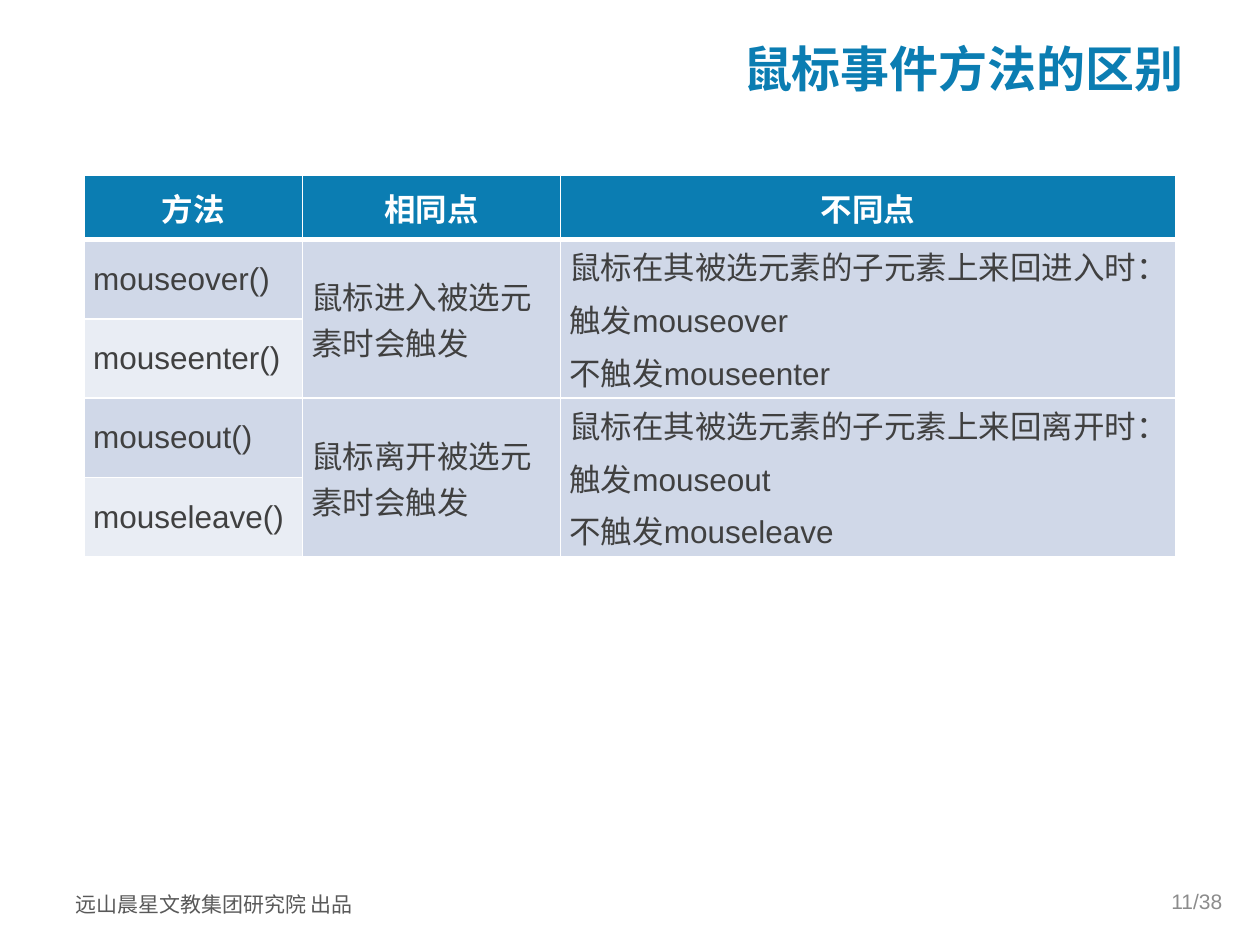
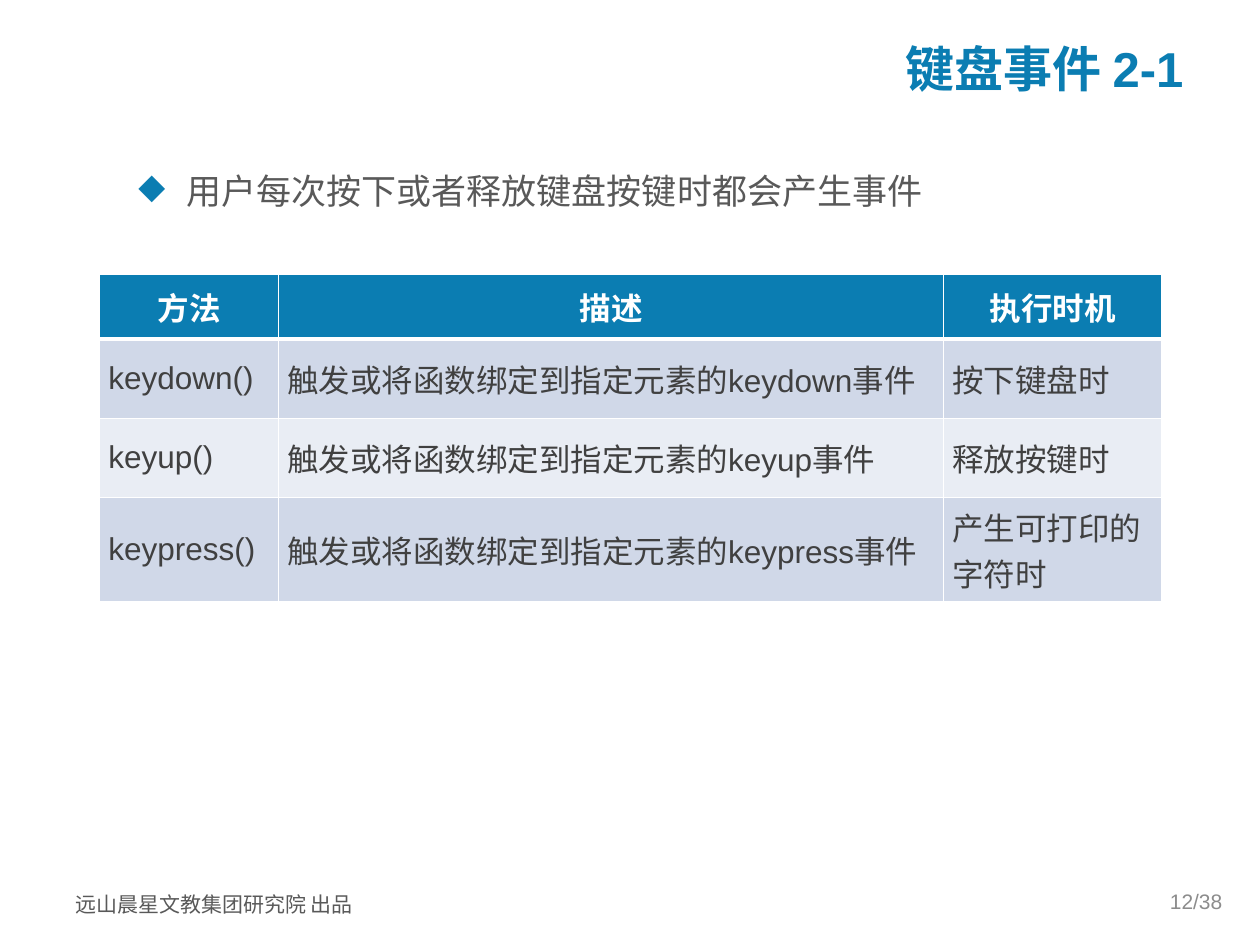
from dataclasses import dataclass

from lxml.etree import SubElement
from pptx import Presentation
from pptx.dml.color import RGBColor
from pptx.enum.text import MSO_ANCHOR, PP_ALIGN
from pptx.oxml import parse_xml
from pptx.oxml.ns import nsdecls, qn
from pptx.util import Inches, Pt


@dataclass(frozen=True)
class Theme:
    blue: str = "0B7DB2"
    white: str = "FFFFFF"
    body: str = "595959"
    cell: str = "404040"
    page: str = "8C8C8C"
    bands: tuple = ("D0D8E8", "E9EDF4")
    font: str = "Arial"
    cjk: str = "Noto Sans CJK SC"
    title_size: int = 28
    body_size: int = 20
    table_size: int = 18
    small_size: int = 12


FOOTER = "远山晨星文教集团研究院 出品"
PAGE_COUNT = 38
HEADER_HEIGHT, ROW_HEIGHT, TALL_ROW_HEIGHT = 0.51, 0.63, 0.83


class Deck:
    def __init__(self, theme):
        self.theme = theme
        self.prs = Presentation()
        self.prs.slide_width, self.prs.slide_height = Inches(10), Inches(7.5)
        self.slide = None

    def style(self, p, size, color, bold=False, align=PP_ALIGN.LEFT, font=None):
        p.alignment = align
        f = p.font
        f.size, f.bold, f.name = Pt(size), bold, font or self.theme.font
        f.color.rgb = RGBColor.from_string(color)
        ea = SubElement(p._p.pPr.find(qn("a:defRPr")), qn("a:ea"))
        ea.set("typeface", self.theme.cjk)

    def text(self, text, box, size, color, anchor=MSO_ANCHOR.MIDDLE, **style):
        sp = self.slide.shapes.add_textbox(*map(Inches, box))
        tf = sp.text_frame
        tf.word_wrap, tf.vertical_anchor = True, anchor
        p = tf.paragraphs[0]
        p.text = text
        self.style(p, size, color, **style)
        return p

    def add_slide(self, title, number):
        t = self.theme
        self.slide = self.prs.slides.add_slide(self.prs.slide_layouts[6])
        footer = self.text(FOOTER, (0.5, 6.99, 2.53, 0.34), t.small_size, t.body,
                           anchor=MSO_ANCHOR.TOP, font=t.cjk)
        footer.line_spacing = 1.2
        self.text(title, (1, 0.31, 8.49, 0.45), t.title_size, t.blue,
                  bold=True, align=PP_ALIGN.RIGHT)
        self.text(f"{number}/{PAGE_COUNT}", (7.47, 6.95, 2.33, 0.4),
                  t.small_size, t.page, align=PP_ALIGN.RIGHT)

    def bullet(self, text, box):
        t = self.theme
        p = self.text(text, box, t.body_size, t.body, anchor=MSO_ANCHOR.TOP)
        p.line_spacing, p.space_before = 1.2, Pt(4)
        pPr = p._p.pPr
        pPr.set("marL", str(Inches(0.38)))
        pPr.set("indent", str(-Inches(0.38)))
        defaults = pPr.find(qn("a:defRPr"))
        for xml in (f'<a:buClr {nsdecls("a")}><a:srgbClr val="{t.blue}"/></a:buClr>',
                    f'<a:buChar {nsdecls("a")} char="◆"/>'):
            defaults.addprevious(parse_xml(xml))

    def border(self, cell, **widths):
        tcPr = cell._tc.get_or_add_tcPr()
        for side in "LRTB":
            ln = SubElement(tcPr, qn(f"a:ln{side}"), w=str(Pt(widths.get(side, 1))))
            fill = SubElement(ln, qn("a:solidFill"))
            SubElement(fill, qn("a:srgbClr"), val=self.theme.white)

    def cell(self, cell, text, row):
        t = self.theme
        header = row == 0
        self.border(cell, **{0: {"B": 3}, 1: {"T": 3}}.get(row, {}))
        cell.fill.solid()
        fill = t.blue if header else t.bands[(row - 1) % 2]
        cell.fill.fore_color.rgb = RGBColor.from_string(fill)
        cell.vertical_anchor = MSO_ANCHOR.MIDDLE
        cell.margin_left = cell.margin_right = Inches(0.07)
        cell.margin_top = cell.margin_bottom = 0
        cell.text_frame.text = text or ""
        for p in cell.text_frame.paragraphs:
            self.style(p, t.table_size, t.white if header else t.cell, bold=header,
                       align=PP_ALIGN.CENTER if header else PP_ALIGN.LEFT)
            p.space_before = Pt(4)

    def table(self, left, top, widths, heights, rows):
        """Draw rows of text; None joins a cell to the one above it."""
        frame = self.slide.shapes.add_table(
            len(rows), len(widths), Inches(left), Inches(top),
            Inches(sum(widths)), Inches(sum(heights)))
        tbl = frame.table
        tbl.first_row = tbl.horz_banding = False
        for column, width in zip(tbl.columns, widths):
            column.width = Inches(width)
        for row, height in zip(tbl.rows, heights):
            row.height = Inches(height)
        for i, row in enumerate(rows):
            for j, text in enumerate(row):
                self.cell(tbl.cell(i, j), text, i)
                if text is None:
                    tbl.cell(i - 1, j).merge(tbl.cell(i, j))


def mouse_rows(action, outer, inner):
    """Two methods that share one description of what they do."""
    return [
        (f"{outer}()", f"鼠标{action}被选元素时会触发",
         f"鼠标在其被选元素的子元素上来回{action}时：\n触发{outer}\n不触发{inner}"),
        (f"{inner}()", None, None),
    ]


def key_row(event, moment):
    return f"{event}()", f"触发或将函数绑定到指定元素的{event}事件", moment


def main():
    deck = Deck(Theme())

    # Mouse event methods
    deck.add_slide("鼠标事件方法的区别", 11)
    deck.table(0.67, 1.39, (1.73, 2.05, 4.88), [HEADER_HEIGHT] + [ROW_HEIGHT] * 4, [
        ("方法", "相同点", "不同点"),
        *mouse_rows("进入", "mouseover", "mouseenter"),
        *mouse_rows("离开", "mouseout", "mouseleave"),
    ])

    # Keyboard events
    deck.add_slide("键盘事件 2-1", 12)
    deck.bullet("用户每次按下或者释放键盘按键时都会产生事件", (1, 1.23, 8.49, 4.72))
    deck.table(0.79, 2.18, (1.42, 5.28, 1.73),
               [HEADER_HEIGHT, ROW_HEIGHT, ROW_HEIGHT, TALL_ROW_HEIGHT], [
        ("方法", "描述", "执行时机"),
        key_row("keydown", "按下键盘时"),
        key_row("keyup", "释放按键时"),
        key_row("keypress", "产生可打印的字符时"),
    ])

    deck.prs.save("out.pptx")


if __name__ == "__main__":
    main()
